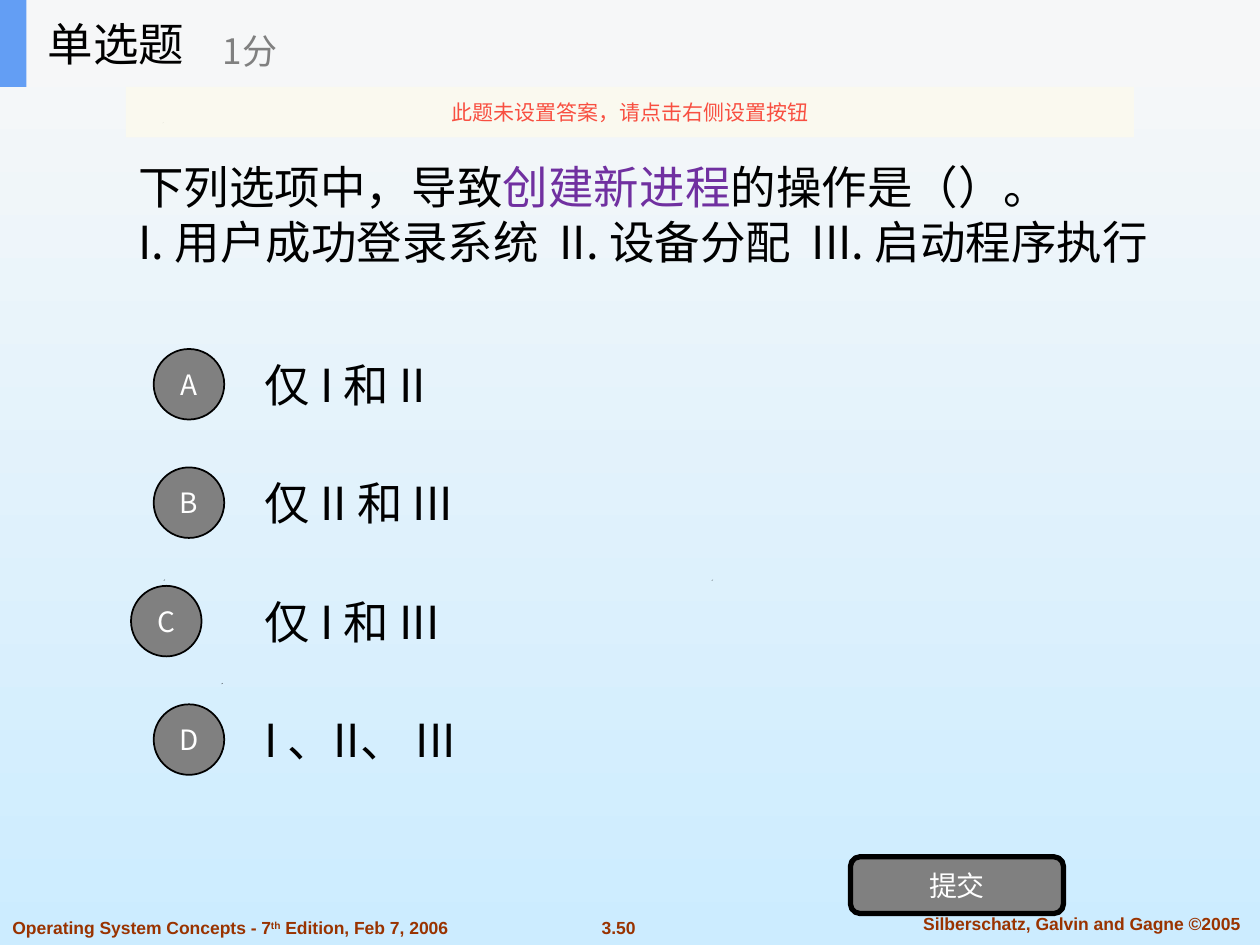
"""Build a single-choice quiz slide about process creation."""
from typing import NamedTuple, Optional

from lxml.etree import SubElement
from pptx import Presentation
from pptx.dml.color import RGBColor
from pptx.enum.shapes import MSO_SHAPE
from pptx.enum.text import MSO_ANCHOR, PP_ALIGN
from pptx.oxml.ns import qn
from pptx.util import Inches, Pt

COLORS = {
    "black": "000000", "white": "FFFFFF", "gray": "808080", "purple": "7030A0",
    "footer": "993300", "bar": "F6F7F8", "accent": "639EF4",
    "banner": "FBFAEF", "warning": "F84F41", "sky_top": "F8F8F8", "sky_bottom": "CCECFF",
}
CJK = "Noto Sans CJK SC"
ROW_TOP, ROW_PITCH, ROW_HEIGHT, CIRCLE = 2.7, 0.94, 0.7, 0.56


class Area(NamedTuple):
    left: float
    top: float
    width: float
    height: float


class Span(NamedTuple):
    text: str
    color: Optional[str] = None
    baseline: int = 0


class Option(NamedTuple):
    letter: str
    answer: str
    circle_left: float = 1.22


OPTIONS = [
    Option("A", "仅 I 和 II"),
    Option("B", "仅 II 和 III"),
    Option("C", "仅 I 和 III", 1.04),
    Option("D", "I 、II、 III"),
]
SPECKS = [(1.76, 5.42), (1.3, 4.6), (5.65, 4.6), (1.29, 0.97)]


def rgb(name: str) -> RGBColor:
    return RGBColor.from_string(COLORS[name])


def inches(area: Area) -> list:
    return [Inches(value) for value in area]


def write(shape, *lines, size=26, color="black", font=CJK, bold=False,
          align=PP_ALIGN.LEFT, anchor=MSO_ANCHOR.MIDDLE) -> None:
    frame = shape.text_frame
    frame.word_wrap = True
    frame.vertical_anchor = anchor
    for index, line in enumerate(lines):
        para = frame.add_paragraph() if index else frame.paragraphs[0]
        para.alignment = align
        for span in [Span(line)] if isinstance(line, str) else line:
            run = para.add_run()
            run.text = span.text
            run.font.size = Pt(size)
            run.font.bold = bold
            run.font.color.rgb = rgb(span.color or color)
            run.font.name = font
            properties = run.font._element
            SubElement(properties, qn("a:ea")).set("typeface", font)
            if span.baseline:
                properties.set("baseline", str(span.baseline * 1000))


def add_text(shapes, area: Area, *lines, **style) -> None:
    write(shapes.add_textbox(*inches(area)), *lines, **style)


def paint(shape, fill: str, outline: float = 0) -> None:
    shape.shadow.inherit = False
    shape.fill.solid()
    shape.fill.fore_color.rgb = rgb(fill)
    if outline:
        shape.line.color.rgb = rgb("black")
        shape.line.width = Pt(outline)
    else:
        shape.line.fill.background()


def add_block(shapes, kind, area: Area, fill: str, text="", outline: float = 0, **style):
    shape = shapes.add_shape(kind, *inches(area))
    paint(shape, fill, outline)
    if text:
        frame = shape.text_frame
        frame.margin_left = frame.margin_right = 0
        write(shape, text, align=PP_ALIGN.CENTER, **style)
    return shape


def add_speck(shapes, left: float, top: float) -> None:
    side = Inches(0.01)
    x, y = Inches(left), Inches(top)
    builder = shapes.build_freeform(x, y + side)
    builder.add_line_segments([(x + side, y), (x, y + side // 2)], close=True)
    paint(builder.convert_to_shape(), "black")


def add_footer(shapes) -> None:
    style = dict(size=10, color="footer", font="Arial", bold=True, anchor=MSO_ANCHOR.TOP)
    edition = [Span("Operating System Concepts - 7"), Span("th", baseline=30),
               Span(" Edition, Feb 7, 2006")]
    add_text(shapes, Area(4.59, 7.23, 0.64, 0.27), "3.50", align=PP_ALIGN.CENTER, **style)
    add_text(shapes, Area(7.1, 7.2, 2.97, 0.27), "Silberschatz, Galvin and Gagne ©2005",
             align=PP_ALIGN.CENTER, **style)
    add_text(shapes, Area(0, 7.23, 4.09, 0.27), edition, **style)


def add_option(shapes, row: int, option: Option) -> None:
    top = ROW_TOP + row * ROW_PITCH
    add_text(shapes, Area(2, top, 7, ROW_HEIGHT), option.answer)
    circle = Area(option.circle_left, top + (ROW_HEIGHT - CIRCLE) / 2, CIRCLE, CIRCLE)
    add_block(shapes, MSO_SHAPE.OVAL, circle, "gray", option.letter, 1, size=16, color="white")


def add_header(shapes) -> None:
    header = shapes.add_group_shape().shapes
    add_block(header, MSO_SHAPE.RECTANGLE, Area(0, 0, 10, 0.69), "bar")
    add_block(header, MSO_SHAPE.RECTANGLE, Area(0, 0, 0.21, 0.69), "accent")
    add_text(header, Area(0.28, 0, 2.08, 0.69), "单选题")
    add_text(header, Area(1.67, 0.12, 2.5, 0.56), "1分", size=20, color="gray")


def add_banner(shapes) -> None:
    banner = add_block(shapes, MSO_SHAPE.RECTANGLE, Area(1, 0.69, 8, 0.4), "banner",
                       "此题未设置答案，请点击右侧设置按钮", size=12, color="warning")
    fill = banner._element.spPr.find(qn("a:solidFill"))
    SubElement(fill[0], qn("a:alpha")).set("val", "90000")


def main() -> None:
    deck = Presentation()
    deck.slide_width, deck.slide_height = Inches(10), Inches(7.5)
    page = deck.slides.add_slide(deck.slide_layouts[6])
    sky = page.background.fill
    sky.gradient()
    sky.gradient_angle = 270
    for stop, name in zip(sky.gradient_stops, ("sky_top", "sky_bottom")):
        stop.color.rgb = rgb(name)

    shapes = page.shapes
    for left, top in SPECKS:
        add_speck(shapes, left, top)
    add_footer(shapes)
    question = [Span("下列选项中，导致"), Span("创建新进程", "purple"), Span("的操作是（）。")]
    add_text(shapes, Area(1, 0.69, 8.58, 2.01), question,
             "I. 用户成功登录系统  II. 设备分配  III. 启动程序执行")
    for row, option in enumerate(OPTIONS):
        add_option(shapes, row, option)
    add_block(shapes, MSO_SHAPE.ROUNDED_RECTANGLE, Area(6.75, 6.8, 1.69, 0.45), "gray",
              "提交", 3, size=16, color="white")
    add_header(shapes)
    add_banner(shapes)
    deck.save("out.pptx")


if __name__ == "__main__":
    main()
